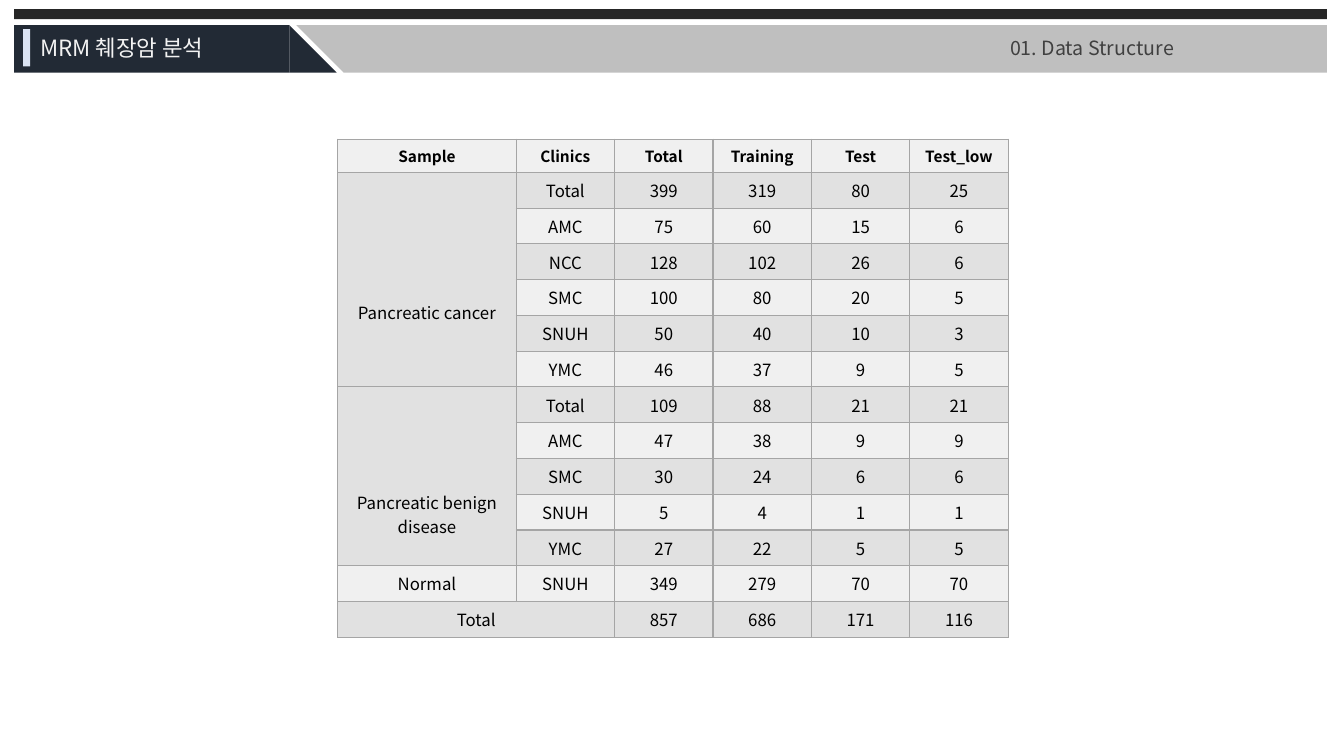
import dataclasses

import lxml.etree
import pptx
import pptx.dml.color
import pptx.enum.shapes
import pptx.enum.text
import pptx.oxml.ns
import pptx.util

Inches = pptx.util.Inches
Pt = pptx.util.Pt
Kind = pptx.enum.shapes.MSO_SHAPE
Anchor = pptx.enum.text.MSO_ANCHOR
Align = pptx.enum.text.PP_ALIGN


@dataclasses.dataclass(frozen=True)
class Theme:
    font: str = "Noto Sans CJK KR"
    bar: str = "262626"
    navy: str = "222A35"
    gray: str = "BFBFBF"
    accent: str = "DAE3F3"
    title: str = "F2F2F2"
    section: str = "404040"
    text: str = "000000"
    border: str = "A5A5A5"
    light: str = "F0F0F0"
    dark: str = "E1E1E1"
    title_size: int = 16
    section_size: int = 14
    head_size: int = 11
    body_size: int = 12


THEME = Theme()
BORDER_WIDTH = Pt(1)
HEADER_HEIGHT = 0.33
ROW_HEIGHT = 0.355
COLUMN_WIDTHS = [1.77] + [0.976] * 5
HEADINGS = ["Sample", "Clinics", "Total", "Training", "Test", "Test_low"]
SAMPLES = [
    ("Pancreatic cancer", 0.62, [
        ("Total", 399, 319, 80, 25),
        ("AMC", 75, 60, 15, 6),
        ("NCC", 128, 102, 26, 6),
        ("SMC", 100, 80, 20, 5),
        ("SNUH", 50, 40, 10, 3),
        ("YMC", 46, 37, 9, 5),
    ]),
    ("Pancreatic benign\ndisease", 0.27, [
        ("Total", 109, 88, 21, 21),
        ("AMC", 47, 38, 9, 9),
        ("SMC", 30, 24, 6, 6),
        ("SNUH", 5, 4, 1, 1),
        ("YMC", 27, 22, 5, 5),
    ]),
    ("Normal", None, [("SNUH", 349, 279, 70, 70)]),
]
GRAND_TOTAL = ["Total", "", 857, 686, 171, 116]


def color(value):
    return pptx.dml.color.RGBColor.from_string(value)


def style_font(font, size, value, bold=False):
    font.name = THEME.font
    font.size = Pt(size)
    font.color.rgb = color(value)
    font.bold = bold


def add_block(slide, kind, box, fill, rotation=0):
    shape = slide.shapes.add_shape(kind, *map(Inches, box))
    shape.shadow.inherit = False
    shape.fill.solid()
    shape.fill.fore_color.rgb = color(fill)
    shape.line.fill.background()
    shape.rotation = rotation


def add_label(slide, box, text, size, value):
    frame = slide.shapes.add_textbox(*map(Inches, box)).text_frame
    frame.word_wrap = True
    paragraph = frame.paragraphs[0]
    paragraph.text = text
    style_font(paragraph.font, size, value)


def add_borders(cell):
    properties = cell._tc.get_or_add_tcPr()
    for index, side in enumerate(("a:lnL", "a:lnR", "a:lnT", "a:lnB")):
        line = lxml.etree.Element(pptx.oxml.ns.qn(side), w=str(BORDER_WIDTH))
        fill = lxml.etree.SubElement(line, pptx.oxml.ns.qn("a:solidFill"))
        lxml.etree.SubElement(fill, pptx.oxml.ns.qn("a:srgbClr"), val=THEME.border)
        properties.insert(index, line)


def fill_cell(cell, text, fill, header):
    cell.text = str(text)
    cell.vertical_anchor = Anchor.MIDDLE
    cell.fill.solid()
    cell.fill.fore_color.rgb = color(fill)
    size = THEME.head_size if header else THEME.body_size
    for paragraph in cell.text_frame.paragraphs:
        paragraph.alignment = Align.CENTER
        style_font(paragraph.font, size, THEME.text, header)
    add_borders(cell)


def merge_samples(table):
    first = 1
    for name, bottom_margin, clinics in SAMPLES:
        last = first + len(clinics) - 1
        if last > first:
            cell = table.cell(first, 0)
            cell.merge(table.cell(last, 0))
            cell.vertical_anchor = Anchor.BOTTOM
            cell.margin_bottom = Inches(bottom_margin)
        first = last + 1
    table.cell(first, 0).merge(table.cell(first, 1))


def add_sample_table(slide, left, top):
    rows = [HEADINGS]
    for name, bottom_margin, clinics in SAMPLES:
        for index, clinic in enumerate(clinics):
            rows.append(["" if index else name, *clinic])
    rows.append(GRAND_TOTAL)

    height = HEADER_HEIGHT + ROW_HEIGHT * (len(rows) - 1)
    table = slide.shapes.add_table(
        len(rows), len(HEADINGS), Inches(left), Inches(top),
        Inches(sum(COLUMN_WIDTHS)), Inches(height)).table
    table.first_row = False
    table.horz_banding = False
    for column, width in zip(table.columns, COLUMN_WIDTHS):
        column.width = Inches(width)
    for row_index, values in enumerate(rows):
        header = row_index == 0
        table.rows[row_index].height = Inches(HEADER_HEIGHT if header else ROW_HEIGHT)
        fill = THEME.dark if row_index % 2 else THEME.light
        for column_index, value in enumerate(values):
            fill_cell(table.cell(row_index, column_index), value, fill, header)
    merge_samples(table)


def add_banner(slide):
    add_block(slide, Kind.RECTANGLE, (0.14, 0.09, 13.02, 0.1), THEME.bar)
    add_block(slide, Kind.RECTANGLE, (0.14, 0.25, 2.73, 0.47), THEME.navy)
    add_block(slide, Kind.RIGHT_TRIANGLE, (2.87, 0.25, 0.47, 0.47), THEME.navy)
    add_block(slide, Kind.RECTANGLE, (3.41, 0.25, 9.75, 0.47), THEME.gray)
    add_block(slide, Kind.RIGHT_TRIANGLE, (2.94, 0.25, 0.47, 0.47), THEME.gray, 180)
    add_block(slide, Kind.RECTANGLE, (0.23, 0.29, 0.07, 0.37), THEME.accent)
    add_label(slide, (0.3, 0.29, 2.32, 0.37), "MRM 췌장암 분석",
              THEME.title_size, THEME.title)


def main():
    presentation = pptx.Presentation()
    presentation.slide_width = Inches(13.33)
    presentation.slide_height = Inches(7.5)
    slide = presentation.slides.add_slide(presentation.slide_layouts[6])
    add_banner(slide)
    add_sample_table(slide, 3.35, 1.38)
    add_label(slide, (9.92, 0.31, 3.57, 0.34), "01. Data Structure",
              THEME.section_size, THEME.section)
    presentation.save("out.pptx")


if __name__ == "__main__":
    main()
